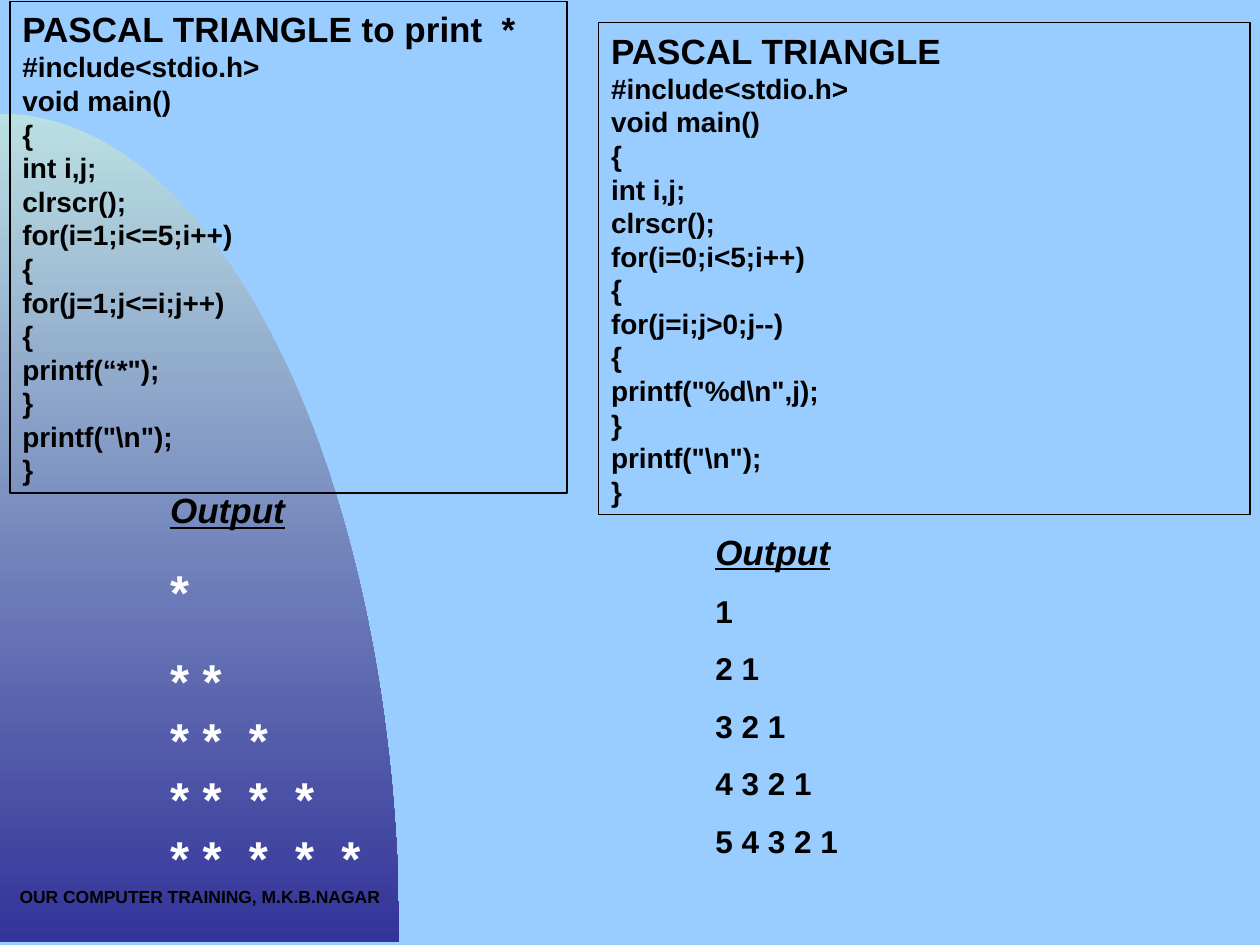
import math

import pptx
import pptx.dml.color
import pptx.enum.dml
import pptx.enum.shapes
import pptx.enum.text
import pptx.util

Cm = pptx.util.Cm
Pt = pptx.util.Pt
RGBColor = pptx.dml.color.RGBColor
Align = pptx.enum.text.PP_ALIGN
Anchor = pptx.enum.text.MSO_ANCHOR

SKY = RGBColor(0x99, 0xCC, 0xFF)
MINT = RGBColor(0xBB, 0xE0, 0xE3)
INDIGO = RGBColor(0x33, 0x33, 0x99)
BLACK = RGBColor(0, 0, 0)
WHITE = RGBColor(0xFF, 0xFF, 0xFF)

LINE_HEIGHT = 1.2
HEADING = {"size": Pt(20)}
CODE = {"size": Pt(16)}
OUTPUT = {"size": Pt(20), "italic": True, "underline": True}
STARS = {"size": Pt(28)}
NUMBERS = {"size": Pt(18)}
FOOTER = {"size": Pt(10)}


def apply_format(target, values):
    for name, value in values.items():
        setattr(target, name, value)


def write_lines(box, lines, align=Align.LEFT, anchor=Anchor.TOP):
    frame = box.text_frame
    apply_format(frame, {"word_wrap": True, "vertical_anchor": anchor})
    for index, (text, font_values, space_before) in enumerate(lines):
        para = frame.add_paragraph() if index else frame.paragraphs[0]
        span = para.add_run()
        span.text = text
        apply_format(para, {
            "alignment": align,
            "space_before": Pt(space_before),
            "line_spacing": Pt(round(font_values["size"].pt * LINE_HEIGHT, 1)),
        })
        apply_format(span.font, {"name": "Arial", "bold": True, **font_values})
        color = WHITE if font_values is STARS else BLACK
        span.font.color.rgb = color


def add_text(page, place, lines, align=Align.LEFT):
    box = page.shapes.add_textbox(*map(Cm, place))
    write_lines(box, lines, align)


def add_code(page, place, title, outer, inner, output):
    rectangle = pptx.enum.shapes.MSO_SHAPE.RECTANGLE
    box = page.shapes.add_shape(rectangle, *map(Cm, place))
    box.shadow.inherit = False
    box.fill.background()
    box.line.color.rgb = BLACK
    box.line.width = Pt(0.75)
    code = ["#include<stdio.h>", "void main()", "{", "int i,j;", "clrscr();",
            outer, "{", inner, "{", output, "}", 'printf("\\n");', "}"]
    lines = [(title, HEADING, 0)] + [(text, CODE, 0) for text in code]
    write_lines(box, lines, anchor=Anchor.MIDDLE)


def add_quarter_ellipse(page, top, width, height, steps=90):
    angles = [math.pi / 2 * step / steps for step in range(1, steps + 1)]
    curve = [(Cm(width * math.sin(angle)), Cm(top + height * (1 - math.cos(angle))))
             for angle in angles]
    builder = page.shapes.build_freeform(0, Cm(top))
    builder.add_line_segments(curve + [(0, Cm(top + height))], close=True)
    shape = builder.convert_to_shape()
    shape.shadow.inherit = False
    shape.line.fill.background()
    shape.fill.gradient()
    shape.fill.gradient_angle = 270
    for stop, color in zip(shape.fill.gradient_stops, (MINT, INDIGO)):
        stop.color.rgb = color


def main():
    deck = pptx.Presentation()
    apply_format(deck, {"slide_width": Cm(25.4), "slide_height": Cm(19.05)})
    page = deck.slides.add_slide(deck.slide_layouts[6])
    page.background.fill.solid()
    page.background.fill.fore_color.rgb = SKY

    add_quarter_ellipse(page, 2.29, 8.05, 16.71)
    add_text(page, (0, 17.73, 8.05, 1.32),
             [("OUR COMPUTER TRAINING, M.K.B.NAGAR", FOOTER, 0)], Align.CENTER)

    add_code(page, (0.2, 0.03, 11.23, 9.91), "PASCAL TRIANGLE to print  *",
             "for(i=1;i<=5;i++)", "for(j=1;j<=i;j++)", 'printf(“*");')
    stars = ["*", "* *", "* *  *", "* *  *  *", "* *  *  *  *"]
    gaps = [17.5, 17.5, 0, 0, 0]
    add_text(page, (3.18, 9.73, 5.28, 8.28), [("Output", OUTPUT, 0)]
             + [(text, STARS, gap) for text, gap in zip(stars, gaps)])

    add_code(page, (12.07, 0.46, 13.13, 9.91), "PASCAL TRIANGLE",
             "for(i=0;i<5;i++)", "for(j=i;j>0;j--)", 'printf("%d\\n",j);')
    rows = [" ".join(str(number) for number in range(count, 0, -1))
            for count in range(1, 6)]
    add_text(page, (14.17, 10.57, 9.32, 6.91), [("Output", OUTPUT, 0)]
             + [(text, NUMBERS, 11.2) for text in rows])

    deck.save("out.pptx")


if __name__ == "__main__":
    main()
